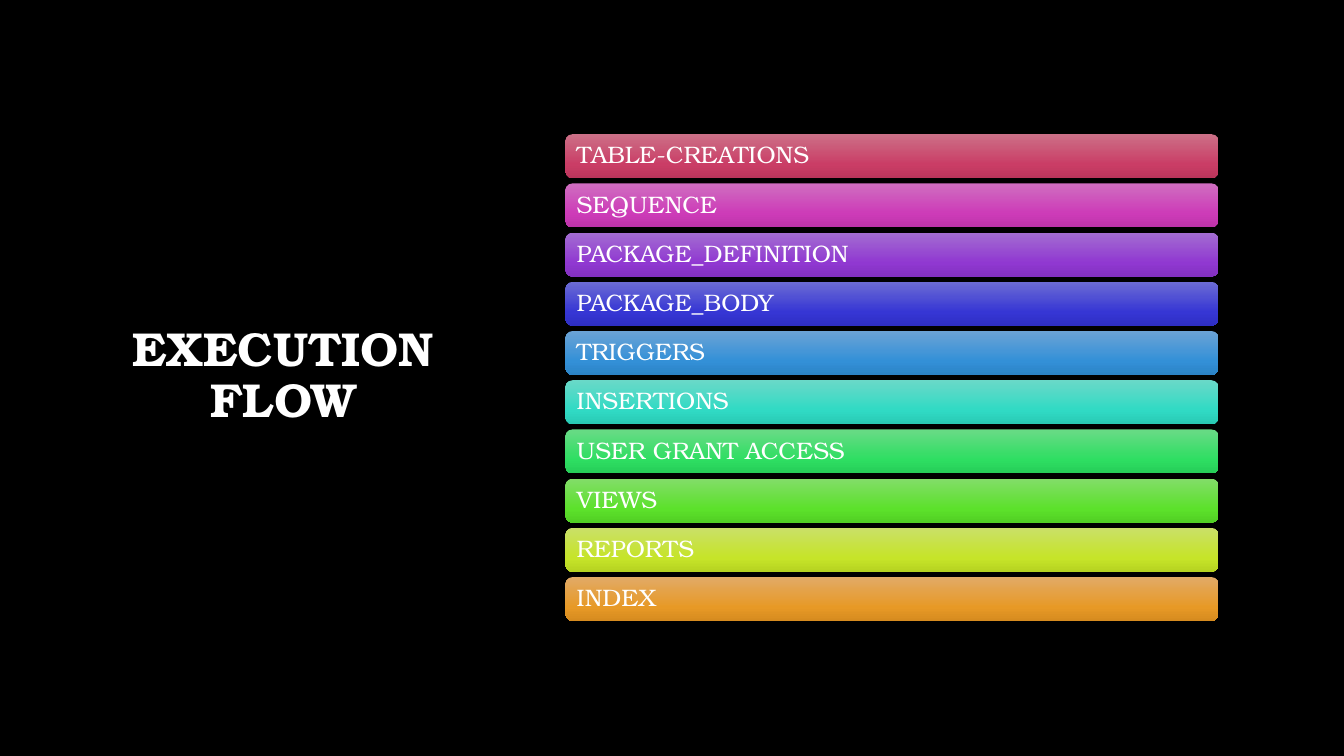
from copy import deepcopy
from dataclasses import dataclass

from pptx import Presentation
from pptx.dml.color import RGBColor as Rgb
from pptx.enum.shapes import MSO_SHAPE as Preset
from pptx.enum.text import MSO_ANCHOR as Anchor, PP_ALIGN as Align
from pptx.oxml.ns import qn
from pptx.util import Cm, Pt

HEADING = "EXECUTION FLOW"
STEPS = [
    ("TABLE-CREATIONS", ("CC7087", "CA3D66", "BA355B")),
    ("SEQUENCE", ("CF6EC0", "CD3BB8", "BD33A9")),
    ("PACKAGE_DEFINITION", ("A36DD1", "9038D1", "8330C0")),
    ("PACKAGE_BODY", ("6C6CD4", "3636D4", "2E2EC3")),
    ("TRIGGERS", ("6BA3D6", "3390D7", "2B83C6")),
    ("INSERTIONS", ("6AD9C8", "30DAC4", "29CAB4")),
    ("USER GRANT ACCESS", ("69DB86", "2EDE62", "26CD58")),
    ("VIEWS", ("82DD68", "5CE12B", "52D024")),
    ("REPORTS", ("CAE067", "C6E429", "B6D321")),
    ("INDEX", ("E2AA66", "E79926", "D68B1F")),
]


@dataclass(frozen=True)
class Theme:
    font: str = "TeX Gyre Bonum"
    background: str = "000000"
    text: str = "FFFFFF"
    heading_size: int = 34
    step_size: int = 17
    gradient_positions: tuple = (0, 0.69, 1)
    line_spacing: float = 0.9


THEME = Theme()
LEFT, TOP, WIDTH, HEIGHT, PITCH = 14.25, 3.38, 16.46, 1.11, 1.24


def write(frame, words, size, align, bold=False):
    frame.text = words
    frame.word_wrap = True
    frame.vertical_anchor = Anchor.MIDDLE
    paragraph = frame.paragraphs[0]
    paragraph.alignment = align
    paragraph.line_spacing = THEME.line_spacing
    font = paragraph.runs[0].font
    font.name = THEME.font
    font.size = Pt(size)
    font.bold = bold
    font.color.rgb = Rgb.from_string(THEME.text)


def shade(bar, colours):
    bar.fill.gradient()
    bar.fill.gradient_angle = 270
    stop_list = bar._element.spPr.find(qn("a:gradFill")).find(qn("a:gsLst"))
    stop_list.append(deepcopy(stop_list[-1]))
    stops = zip(bar.fill.gradient_stops, THEME.gradient_positions, colours)
    for stop, position, colour in stops:
        stop.position = position
        stop.color.rgb = Rgb.from_string(colour)


def add_step(slide, row, words, colours):
    bar = slide.shapes.add_shape(
        Preset.ROUNDED_RECTANGLE,
        Cm(LEFT), Cm(TOP + row * PITCH), Cm(WIDTH), Cm(HEIGHT),
    )
    bar.shadow.inherit = False
    bar.line.fill.background()
    shade(bar, colours)
    frame = bar.text_frame
    frame.margin_left = frame.margin_right = Cm(0.23)
    frame.margin_top = frame.margin_bottom = Cm(0.18)
    write(frame, words, THEME.step_size, Align.LEFT)


def main():
    deck = Presentation()
    deck.slide_width, deck.slide_height = Cm(33.87), Cm(19.05)
    slide = deck.slides.add_slide(deck.slide_layouts[5])
    slide.background.fill.solid()
    slide.background.fill.fore_color.rgb = Rgb.from_string(THEME.background)

    heading = slide.shapes.title
    heading.left, heading.top = Cm(2.08), Cm(1.7)
    heading.width, heading.height = Cm(10.11), Cm(15.57)
    write(heading.text_frame, HEADING, THEME.heading_size, Align.CENTER, bold=True)

    for row, (words, colours) in enumerate(STEPS):
        add_step(slide, row, words, colours)

    deck.save("out.pptx")


if __name__ == "__main__":
    main()
